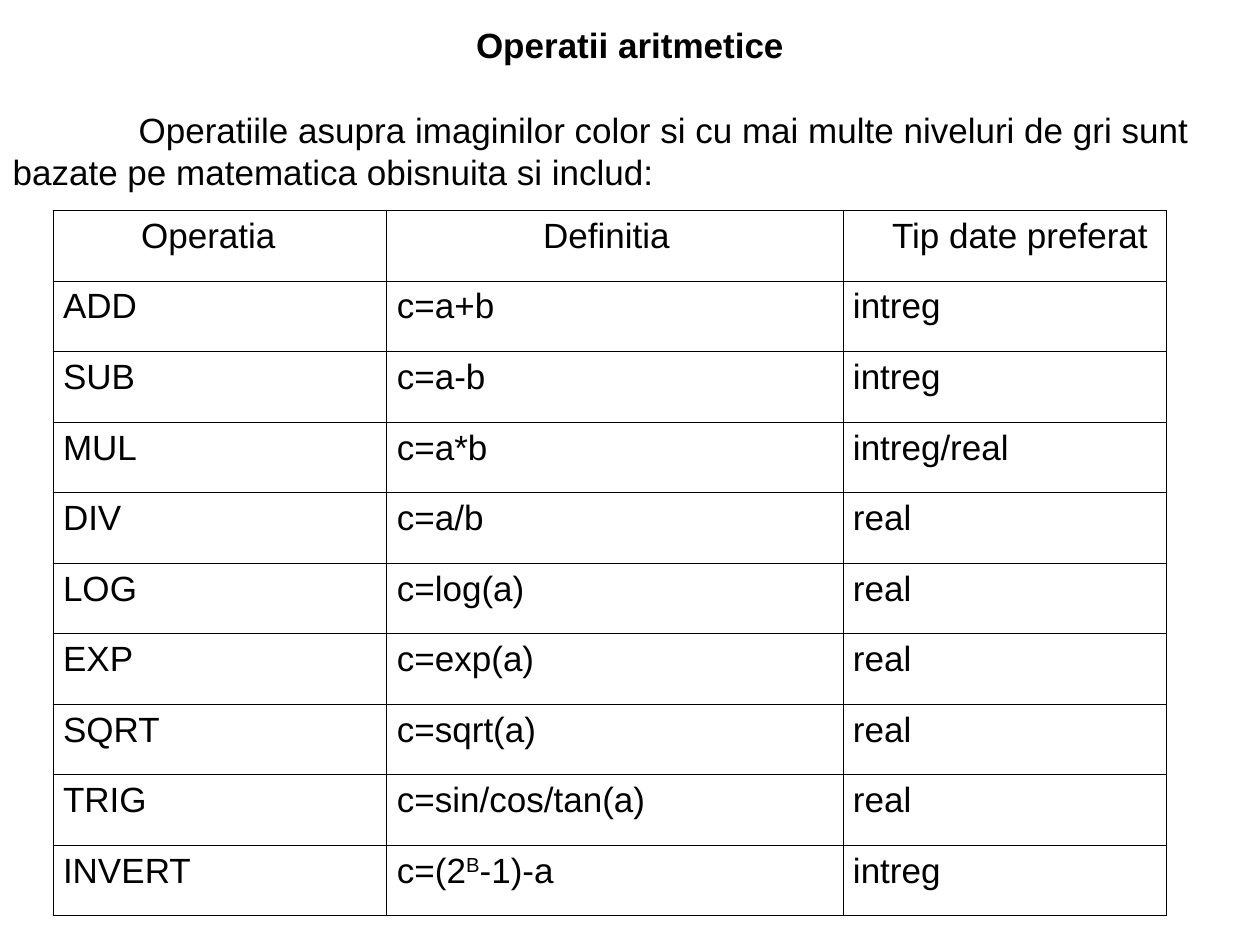
from lxml.etree import SubElement
from pptx import Presentation
from pptx.dml.color import RGBColor
from pptx.enum.text import MSO_ANCHOR, MSO_AUTO_SIZE, PP_ALIGN
from pptx.oxml.ns import qn
from pptx.util import Inches, Pt

BLACK = RGBColor(0, 0, 0)
FONT = {"name": "Arial", "size": Pt(20), "bold": False}
ROWS = [
    ("Operatia", "Definitia", "Tip date preferat"),
    ("ADD", "c=a+b", "intreg"),
    ("SUB", "c=a-b", "intreg"),
    ("MUL", "c=a*b", "intreg/real"),
    ("DIV", "c=a/b", "real"),
    ("LOG", "c=log(a)", "real"),
    ("EXP", "c=exp(a)", "real"),
    ("SQRT", "c=sqrt(a)", "real"),
    ("TRIG", "c=sin/cos/tan(a)", "real"),
    ("INVERT", "c=(2^B^-1)-a", "intreg"),
]
WIDTHS = (2.65, 3.62, 2.57)
INDENTS = (0.62, 1.16, 0.31)
ROW = 0.56


def style(font, **extra):
    for key, value in {**FONT, **extra}.items():
        setattr(font, key, value)
    font.color.rgb = BLACK


def border(cell):
    """Draw a thin black line on all four sides of the cell."""
    props = cell._tc.get_or_add_tcPr()
    for side in ("a:lnL", "a:lnR", "a:lnT", "a:lnB"):
        line = SubElement(props, qn(side), w=str(Pt(0.45)))
        fill = SubElement(line, qn("a:solidFill"))
        SubElement(fill, qn("a:srgbClr"), val=str(BLACK))


prs = Presentation()
prs.slide_width, prs.slide_height = Inches(10), Inches(7.5)
slide = prs.slides.add_slide(prs.slide_layouts[1])
title, intro = slide.placeholders

# Title and introduction
title.text = "Operatii aritmetice"
intro.text = ("Operatiile asupra imaginilor color si cu mai multe niveluri "
              "de gri sunt bazate pe matematica obisnuita si includ:")
for box, top, height, align, bold in (
    (title, 0.14, 0.4, PP_ALIGN.CENTER, True),
    (intro, 0.81, 0.72, PP_ALIGN.LEFT, False),
):
    box.left, box.top = Inches(0), Inches(top)
    box.width, box.height = Inches(10), Inches(height)
    frame = box.text_frame
    layout = {
        "margin_left": Inches(0.1), "margin_right": Inches(0.1),
        "margin_top": Inches(0.05), "margin_bottom": 0,
        "vertical_anchor": MSO_ANCHOR.TOP, "word_wrap": True,
        "auto_size": MSO_AUTO_SIZE.NONE,
    }
    for key, value in layout.items():
        setattr(frame, key, value)
    para = frame.paragraphs[0]
    props = para._p.get_or_add_pPr()
    props.set("marL", "0")
    props.set("indent", str(Inches(1) if box is intro else 0))
    SubElement(props, qn("a:buNone"))
    para.alignment = align
    para.space_before = Pt(0)
    para.line_spacing = Pt(24)
    style(para.runs[0].font, bold=bold)

# Table of operations
grid = slide.shapes.add_table(
    len(ROWS), len(WIDTHS), Inches(0.42), Inches(1.67),
    Inches(sum(WIDTHS)), Inches(ROW * len(ROWS))).table
grid.first_row = grid.horz_banding = False
for col, width in zip(grid.columns, WIDTHS):
    col.width = Inches(width)

for r, words in enumerate(ROWS):
    grid.rows[r].height = Inches(ROW)
    for c, text in enumerate(words):
        cell = grid.cell(r, c)
        border(cell)
        cell.fill.background()
        cell.margin_left = cell.margin_right = Inches(0.08)
        cell.margin_top = cell.margin_bottom = Inches(0.05)
        para = cell.text_frame.paragraphs[0]
        para.alignment = PP_ALIGN.JUSTIFY
        if r == 0:
            para._p.get_or_add_pPr().set("marL", str(Inches(INDENTS[c])))
        # Text between carets is superscript
        for i, part in enumerate(text.split("^")):
            run = para.add_run()
            run.text = part
            style(run.font)
            if i % 2:
                run.font._element.set("baseline", "30000")

prs.save("out.pptx")
